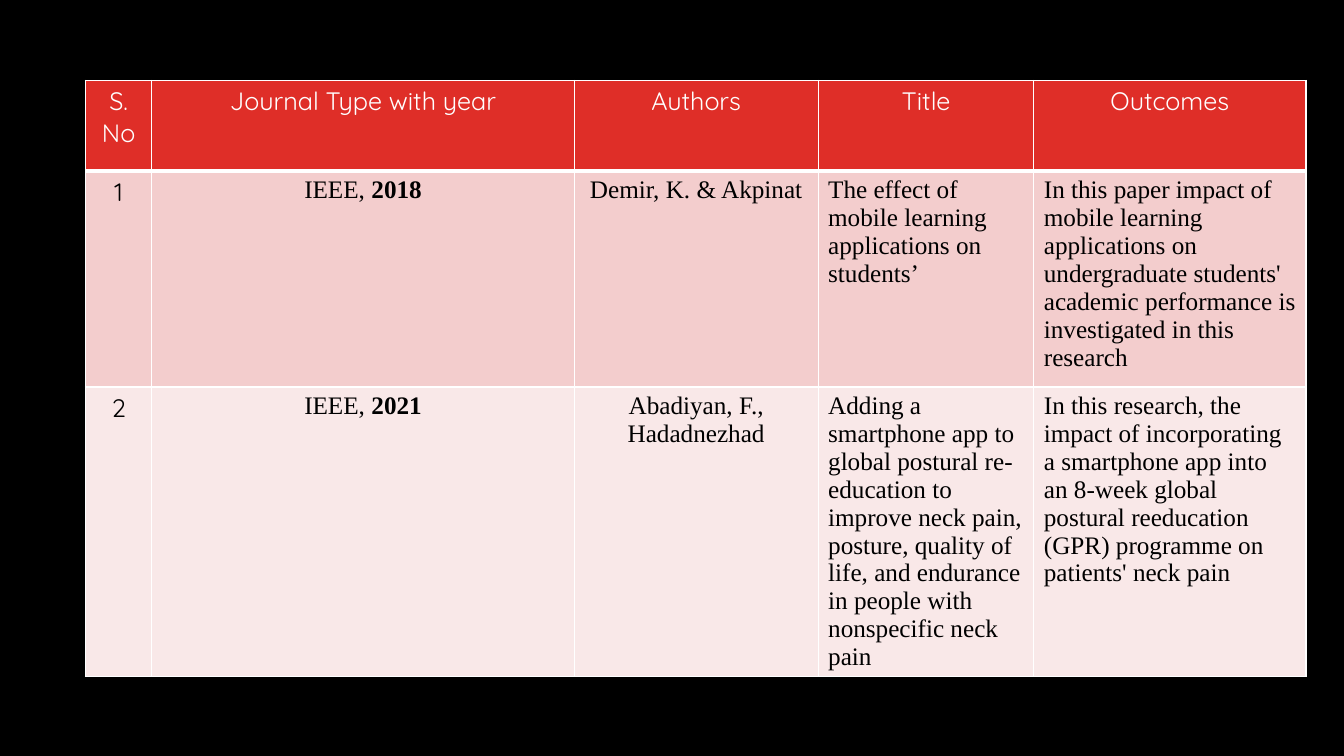
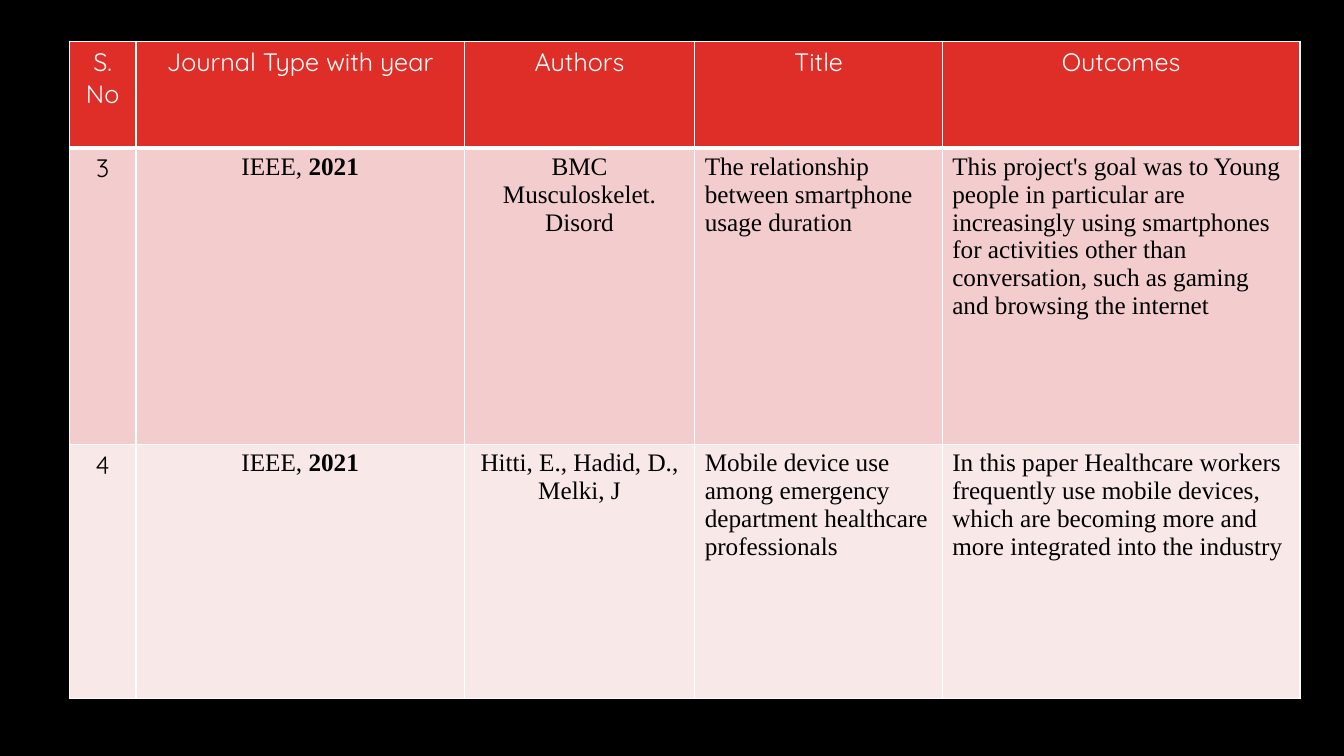
from lxml import etree
from pptx import Presentation
from pptx.dml.color import RGBColor
from pptx.enum.text import PP_ALIGN
from pptx.oxml.ns import qn
from pptx.util import Pt

BLACK = RGBColor(0x00, 0x00, 0x00)
WHITE = RGBColor(0xFF, 0xFF, 0xFF)
RED = RGBColor(0xDF, 0x2E, 0x28)
ROW_FILLS = [RGBColor(0xF3, 0xCD, 0xCD), RGBColor(0xF9, 0xE8, 0xE8)]
HEAD_FONT, BODY_FONT = "Quicksand", "Times New Roman"
TEXT_SIZE = Pt(18)
HEADERS = ["S.\nNo", "Journal Type with year", "Authors", "Title", "Outcomes"]
CENTERED_COLUMNS = 3  # number, journal and authors

# Each slide: table corner, column widths and row heights in points, then papers
SURVEYS = [
    dict(
        corner=(61, 57.5),
        widths=(47.5, 301.7, 174.2, 154.1, 194.4),
        heights=(64.8, 154.2, 207),
        papers=[
            ("1", "2018", "Demir, K. & Akpinat",
             "The effect of mobile learning applications on students’",
             "In this paper impact of mobile learning applications on "
             "undergraduate students' academic performance is investigated "
             "in this research"),
            ("2", "2021", "Abadiyan, F., Hadadnezhad",
             "Adding a smartphone app to global postural re-education to "
             "improve neck pain, posture, quality of life, and endurance in "
             "people with nonspecific neck pain",
             "In this research, the impact of incorporating a smartphone app "
             "into an 8-week global postural reeducation (GPR) programme on "
             "patients' neck pain"),
        ],
    ),
    dict(
        corner=(49.5, 29.5),
        widths=(47.7, 234.5, 164.6, 176.8, 255.6),
        heights=(76, 211.9, 181.3),
        papers=[
            ("3", "2021", "BMC Musculoskelet. Disord",
             "The relationship between smartphone usage duration",
             "This project's goal was to Young people in particular are "
             "increasingly using smartphones for activities other than "
             "conversation, such as gaming and browsing the internet"),
            ("4", "2021", "Hitti, E., Hadid, D., Melki, J",
             "Mobile device use among emergency department healthcare "
             "professionals",
             "In this paper Healthcare workers frequently use mobile devices, "
             "which are becoming more and more integrated into the industry"),
        ],
    ),
]


def set_borders(cell, bottom=1):
    tc_pr = cell._tc.get_or_add_tcPr()
    for side, width in (("L", 1), ("R", 1), ("T", 1), ("B", bottom)):
        line = etree.SubElement(tc_pr, qn(f"a:ln{side}"), w=str(Pt(width)))
        fill = etree.SubElement(line, qn("a:solidFill"))
        etree.SubElement(fill, qn("a:srgbClr"), val=str(WHITE))


def style_cell(cell, fill, bottom=1):
    set_borders(cell, bottom)
    cell.fill.solid()
    cell.fill.fore_color.rgb = fill


def add_run(p, text, font, color, bold=False):
    r = p.add_run()
    r.text = text
    r.font.name = font
    r.font.size = TEXT_SIZE
    r.font.bold = bold
    r.font.color.rgb = color


def fill_header(table):
    for cell, label in zip(table.rows[0].cells, HEADERS):
        style_cell(cell, RED, bottom=3)
        tf = cell.text_frame
        for i, line in enumerate(label.split("\n")):
            p = tf.add_paragraph() if i else tf.paragraphs[0]
            p.alignment = PP_ALIGN.CENTER
            add_run(p, line, HEAD_FONT, WHITE)


def fill_paper(row, paper, fill):
    for col, (cell, text) in enumerate(zip(row.cells, paper)):
        style_cell(cell, fill)
        p = cell.text_frame.paragraphs[0]
        p.alignment = PP_ALIGN.CENTER if col < CENTERED_COLUMNS else PP_ALIGN.LEFT
        if col == 1:  # journal, with the year in bold
            add_run(p, "IEEE,", BODY_FONT, BLACK)
            add_run(p, " " + text, BODY_FONT, BLACK, bold=True)
        else:
            add_run(p, text, BODY_FONT if col else HEAD_FONT, BLACK)


def add_survey_slide(prs, corner, widths, heights, papers):
    s = prs.slides.add_slide(prs.slide_layouts[6])
    left, top = corner
    table = s.shapes.add_table(
        len(heights), len(widths), Pt(left), Pt(top),
        Pt(sum(widths)), Pt(sum(heights))).table
    for column, width in zip(table.columns, widths):
        column.width = Pt(width)
    for row, height in zip(table.rows, heights):
        row.height = Pt(height)
    fill_header(table)
    for i, paper in enumerate(papers):
        fill_paper(table.rows[i + 1], paper, ROW_FILLS[i % 2])


def main():
    prs = Presentation()
    prs.slide_width, prs.slide_height = Pt(960), Pt(540)
    # Shared black background
    background = prs.slide_master.background.fill
    background.solid()
    background.fore_color.rgb = BLACK
    for survey in SURVEYS:
        add_survey_slide(prs, **survey)
    prs.save("out.pptx")


if __name__ == "__main__":
    main()
